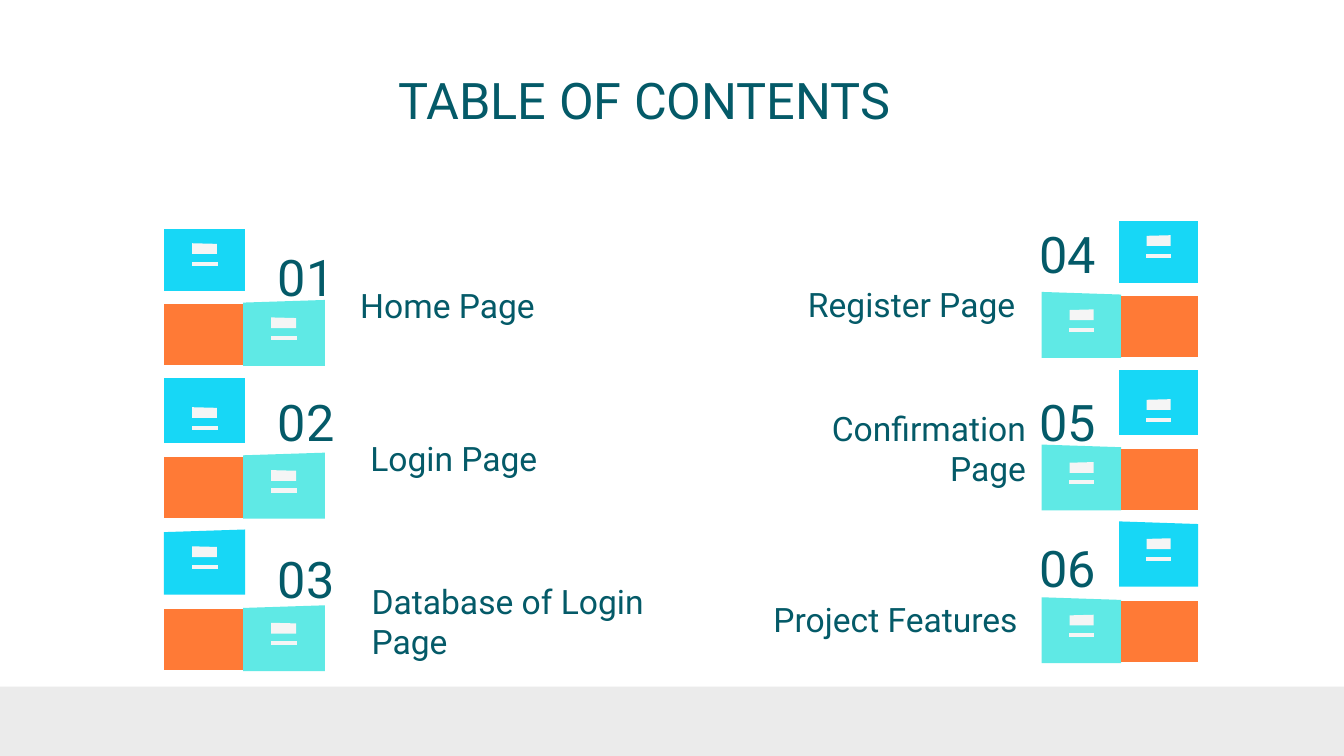
import dataclasses

import pptx
import pptx.dml.color
import pptx.enum.shapes
import pptx.enum.text
import pptx.util

# Every length counts cells of a square grid, 100 columns across the 16:9 slide.
SLIDE_COLUMNS, SLIDE_ROWS = 100, 56.25
CELL = pptx.util.Inches(10) / SLIDE_COLUMNS
ALIGN = pptx.enum.text.PP_ALIGN
ANCHOR = pptx.enum.text.MSO_ANCHOR


@dataclasses.dataclass(frozen=True)
class Theme:
    font: str = "Roboto"
    heading_size: int = 27
    entry_size: int = 18
    ink: str = "045A68"
    background: str = "FFFFFF"
    floor: str = "EBEBEB"
    upper_drawer: str = "17D7F6"
    side_drawer: str = "5FE9E5"
    cabinet: str = "FF7A36"
    tag: str = "F5F5F5"


@dataclasses.dataclass(frozen=True)
class Box:
    left: float
    top: float
    width: float
    height: float


THEME = Theme()


def cells(count):
    return pptx.util.Emu(round(count * CELL))


def paint(shape, color):
    shape.shadow.inherit = False
    shape.fill.solid()
    shape.fill.fore_color.rgb = pptx.dml.color.RGBColor.from_string(color)
    shape.line.fill.background()


def write(slide, box, wording, size, align, anchor):
    text_box = slide.shapes.add_textbox(
        cells(box.left), cells(box.top), cells(box.width), cells(box.height))
    frame = text_box.text_frame
    frame.word_wrap = True
    frame.vertical_anchor = anchor
    frame.margin_left = frame.margin_right = cells(1)
    frame.margin_top = frame.margin_bottom = cells(1)
    paragraph = frame.paragraphs[0]
    paragraph.alignment = align
    run = paragraph.add_run()
    run.text = wording
    run.font.name = THEME.font
    run.font.size = pptx.util.Pt(size)
    run.font.color.rgb = pptx.dml.color.RGBColor.from_string(THEME.ink)


def draw_stack(slide, box, mirrored):
    """Three cabinets, 12 columns wide, with drawers opening to the inner side."""
    column = box.width / 12

    def panel(x, y, width, height, color, near_drop=0, far_drop=0):
        """A four-sided panel whose top corners may sit lower than y."""
        corners = [(x, y + near_drop), (x + width, y + far_drop),
                   (x + width, y + height), (x, y + height)]
        points = []
        for across, down in corners:
            across = 12 - across if mirrored else across
            points.append((cells(box.left + across * column), cells(box.top + down)))
        outline = slide.shapes.build_freeform(*points[0], scale=1.0)
        outline.add_line_segments(points[1:], close=True)
        paint(outline.convert_to_shape(), color)

    def tag(x, y):
        panel(x, y, 1.85, 0.8, THEME.tag, far_drop=0.05)
        panel(x, y + 1.37, 1.9, 0.3, THEME.tag)

    # Top, height, slant and tag offset of each upper drawer
    upper_drawers = [(0, 4.6, 0, 1.05), (11.1, 4.85, 0, 2.15), (22.35, 4.85, 0.2, 1.25)]
    for row, (top, height, slant, tag_drop) in enumerate(upper_drawers):
        side_top = 5.27 + row * 11.36
        panel(0, top, 6.05, height, THEME.upper_drawer, near_drop=slant)
        tag(2.1, top + tag_drop)
        panel(5.9, side_top, 6.1, 4.9, THEME.side_drawer, near_drop=0.2)
        tag(8, side_top + 1.3)
        panel(0, side_top + 0.3, 5.9, 4.55, THEME.cabinet)


def draw_entries(slide, box, align, entries):
    """Numbers at the box's left edge; each entry gives its own offsets."""
    for number, number_top, wording, x, y, width in entries:
        write(slide, Box(box.left, box.top + number_top, 7.2, 9),
              number, THEME.heading_size, ALIGN.CENTER, ANCHOR.TOP)
        write(slide, Box(box.left + x, box.top + y, width, 7.05),
              wording, THEME.entry_size, align, ANCHOR.BOTTOM)


def draw_floor(slide, box):
    floor = slide.shapes.add_shape(
        pptx.enum.shapes.MSO_SHAPE.RECTANGLE,
        cells(box.left), cells(box.top), cells(box.width), cells(box.height))
    paint(floor, THEME.floor)


def build_contents(slide):
    slide.background.fill.solid()
    slide.background.fill.fore_color.rgb = pptx.dml.color.RGBColor.from_string(
        THEME.background)
    draw_floor(slide, Box(0, 51.1, SLIDE_COLUMNS, SLIDE_ROWS - 51.1))
    write(slide, Box(5.8, 5.65, 84.3, 3.5), "TABLE OF CONTENTS",
          THEME.heading_size, ALIGN.CENTER, ANCHOR.MIDDLE)
    draw_entries(slide, Box(19.17, 17.3, 30, 33), ALIGN.LEFT, [
        ("01", 0, "Home Page", 6.65, 0.85, 23.1),
        ("02", 10.8, "Login Page", 7.4, 12.2, 22.4),
        ("03", 22.5, "Database of Login Page", 7.5, 25.85, 22.4),
    ])
    draw_entries(slide, Box(75.83, 15.6, 7.2, 33), ALIGN.RIGHT, [
        ("04", 0, "Register Page", -21.7, 2.5, 22.4),
        ("05", 12.5, "Confirmation Page", -20.9, 14.7, 22.4),
        ("06", 23.4, "Project Features ", -20.9, 25.9, 22.4),
    ])
    draw_stack(slide, Box(12.2, 17.05, 11.97, 32.9), mirrored=False)
    draw_stack(slide, Box(77.5, 16.45, 11.65, 32.9), mirrored=True)


def main():
    deck = pptx.Presentation()
    deck.slide_width = cells(SLIDE_COLUMNS)
    deck.slide_height = cells(SLIDE_ROWS)
    build_contents(deck.slides.add_slide(deck.slide_layouts[6]))
    deck.save("out.pptx")


if __name__ == "__main__":
    main()
